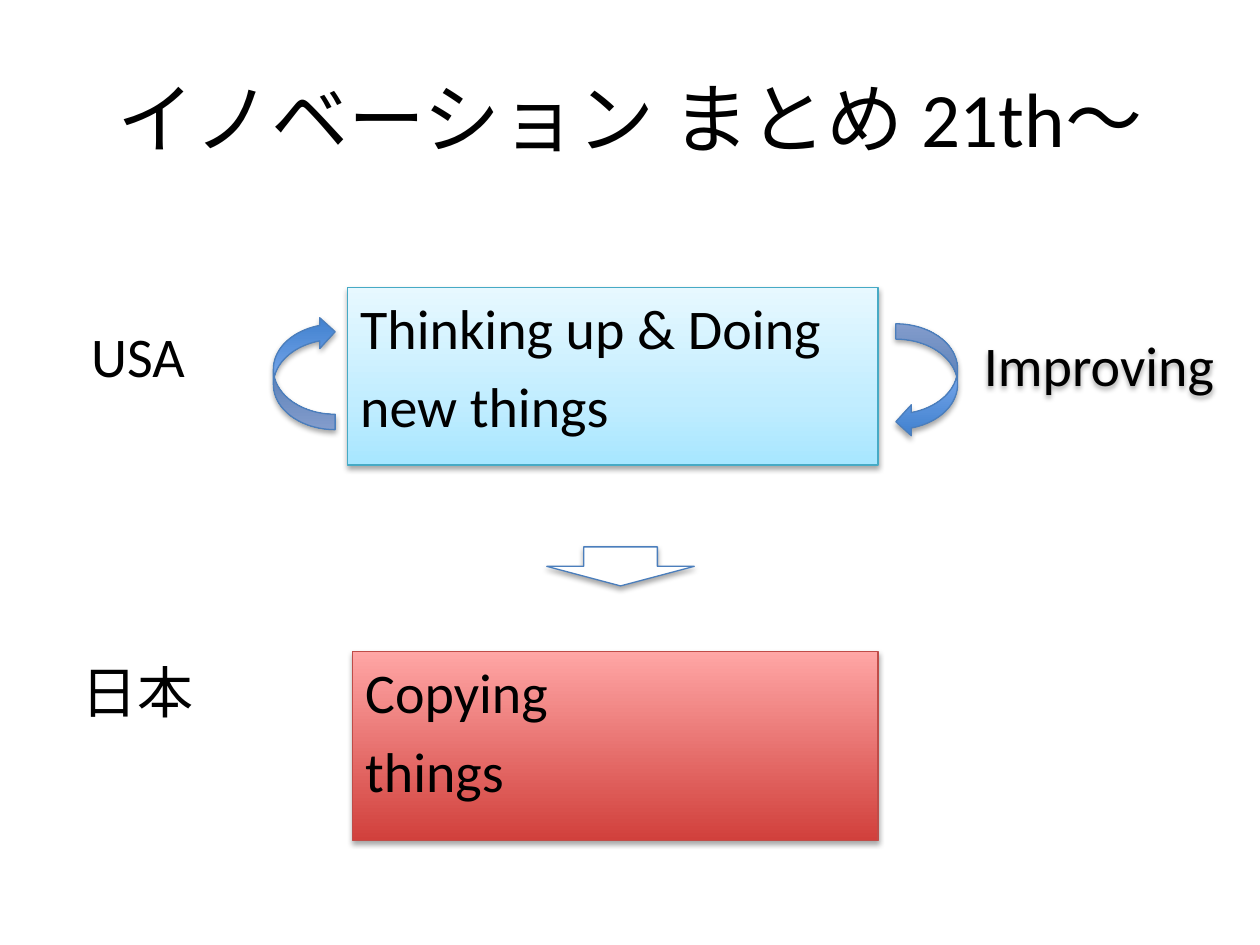
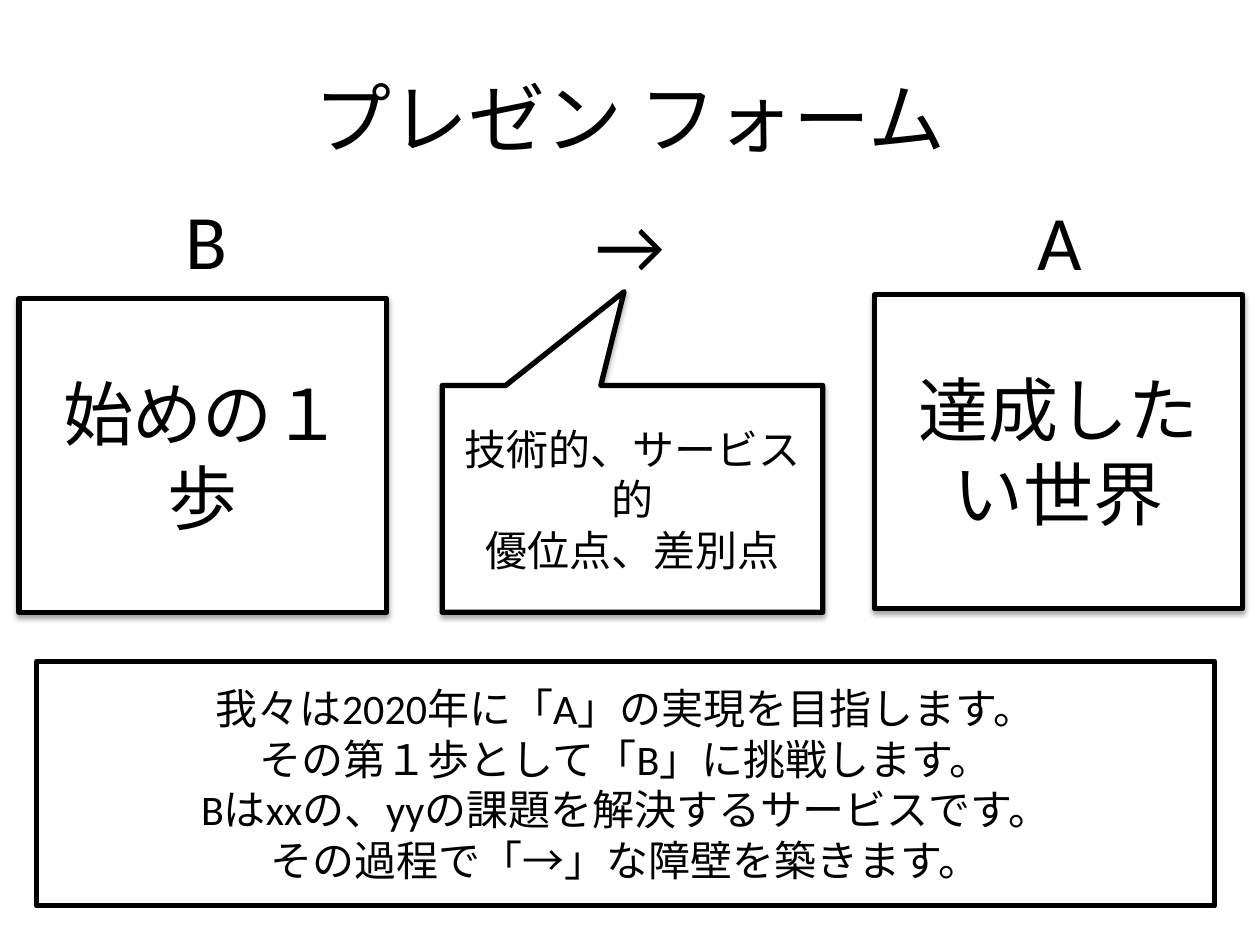
from lxml.etree import SubElement
from pptx import Presentation
from pptx.dml.color import RGBColor
from pptx.enum.lang import MSO_LANGUAGE_ID
from pptx.enum.shapes import MSO_SHAPE
from pptx.enum.text import MSO_ANCHOR, PP_ALIGN
from pptx.oxml.ns import qn
from pptx.util import Inches, Pt

FONT = "Calibri"
BLACK = RGBColor(0x00, 0x00, 0x00)
WHITE = RGBColor(0xFF, 0xFF, 0xFF)
AQUA_LINE = RGBColor(0x46, 0xAA, 0xC5)
RED_LINE = RGBColor(0xBF, 0x4C, 0x48)
BLUE_LINE = RGBColor(0x4B, 0x7E, 0xBC)

# Gradients run from bottom to top: (position in percent, colour)
AQUA = [(0, RGBColor(0xA7, 0xE6, 0xFF)), (35, RGBColor(0xC1, 0xED, 0xFF)),
        (100, RGBColor(0xE7, 0xF8, 0xFF))]
RED = [(0, RGBColor(0xD1, 0x40, 0x3C)), (100, RGBColor(0xFF, 0xA6, 0xA5))]
BLUE = [(0, RGBColor(0x3F, 0x80, 0xCE)), (100, RGBColor(0xA4, 0xC4, 0xFF))]


class Deck:
    """Holds the shared style and the slide being built."""

    def __init__(self):
        self.presentation = Presentation()
        self.presentation.slide_width = Inches(10)
        self.presentation.slide_height = Inches(7.5)
        self.slide = None

    def add_slide(self, title):
        layout = self.presentation.slide_layouts[6]
        self.slide = self.presentation.slides.add_slide(layout)
        self.add_centred(0.5, 0.3, 9, 1.25, title, 44)

    def add_text(self, shape, lines, size, align, anchor, spacing=0.0):
        """Fill a shape with one paragraph per line; spacing is a share of size."""
        frame = shape.text_frame
        frame.word_wrap = True
        frame.vertical_anchor = anchor
        for index, line in enumerate(lines):
            paragraph = frame.add_paragraph() if index else frame.paragraphs[0]
            paragraph.alignment = align
            paragraph.space_before = Pt(size * spacing)
            run = paragraph.add_run()
            run.text = line
            run.font.name = FONT
            run.font.size = Pt(size)
            run.font.color.rgb = BLACK
            run.font.language_id = MSO_LANGUAGE_ID.JAPANESE

    def add_box(self, left, top, width, height):
        return self.slide.shapes.add_textbox(
            Inches(left), Inches(top), Inches(width), Inches(height))

    def add_centred(self, left, top, width, height, text, size):
        box = self.add_box(left, top, width, height)
        self.add_text(box, [text], size, PP_ALIGN.CENTER, MSO_ANCHOR.MIDDLE)

    def add_label(self, left, top, width, height, text, align=PP_ALIGN.CENTER):
        box = self.add_box(left, top, width, height)
        self.add_text(box, [text], 32, align, MSO_ANCHOR.TOP, 0.2)
        return box

    def add_shadow(self, shape):
        shape.shadow.inherit = False
        effects = shape._element.spPr.find(qn("a:effectLst"))
        shadow = SubElement(effects, qn("a:outerShdw"), blurRad="40000",
                            dist="23000", dir="5400000", rotWithShape="0")
        colour = SubElement(shadow, qn("a:srgbClr"), val=str(BLACK))
        SubElement(colour, qn("a:alpha"), val="35000")

    def add_gradient(self, shape, stops):
        shape.fill.gradient()
        shape.fill.gradient_angle = 90
        stop_list = shape._element.spPr.find(qn("a:gradFill")).find(qn("a:gsLst"))
        stop_list.clear()
        for position, colour in stops:
            stop = SubElement(stop_list, qn("a:gs"), pos=str(position * 1000))
            SubElement(stop, qn("a:srgbClr"), val=str(colour))

    def add_shape(self, kind, left, top, width, height, fill=WHITE,
                  line=BLACK, line_width=3, shadow=True):
        shape = self.slide.shapes.add_shape(
            kind, Inches(left), Inches(top), Inches(width), Inches(height))
        if fill is None:
            shape.fill.background()
        elif isinstance(fill, list):
            self.add_gradient(shape, fill)
        else:
            shape.fill.solid()
            shape.fill.fore_color.rgb = fill
        shape.line.color.rgb = line
        shape.line.width = Pt(line_width)
        if shadow:
            self.add_shadow(shape)
        else:
            shape.shadow.inherit = False
        return shape


def build_innovation(deck):
    deck.add_slide("イノベーション まとめ 21th〜")

    # Countries
    for top, country in ((2.5, "USA"), (5.17, "日本")):
        deck.add_label(0, top, 2.19, 1.17, country)

    # What each country does
    activities = (
        (2.76, 2.28, 4.21, 1.41, AQUA, AQUA_LINE, ["Thinking up & Doing", "new things"]),
        (2.8, 5.17, 4.17, 1.5, RED, RED_LINE, ["Copying", "things"]),
    )
    for left, top, width, height, fill, line, lines in activities:
        box = deck.add_shape(MSO_SHAPE.RECTANGLE, left, top, width, height, fill, line, 0.75)
        deck.add_text(box, lines, 32, PP_ALIGN.LEFT, MSO_ANCHOR.TOP, 0.2)

    # Arrow between the countries
    deck.add_shape(MSO_SHAPE.DOWN_ARROW, 4.34, 4.34, 1.17, 0.31, WHITE, BLUE_LINE, 0.75)

    # Improvement cycle
    for left, top, rotation in ((7.11, 2.57, 0), (2.17, 2.51, 180)):
        arrow = deck.add_shape(MSO_SHAPE.CURVED_LEFT_ARROW, left, top, 0.49, 0.9,
                               BLUE, BLUE_LINE, 0.75)
        arrow.rotation = rotation
    improving = deck.add_label(7.71, 2.57, 2.29, 1.41, "Improving", PP_ALIGN.LEFT)
    deck.add_shadow(improving)


def build_form(deck):
    deck.add_slide("プレゼン フォーム")

    # Goal and first step
    for left, top, text in ((6.94, 2.34, "達成したい世界"), (0.15, 2.37, "始めの１歩")):
        deck.add_shape(MSO_SHAPE.RECTANGLE, left, top, 2.92, 2.49)
        deck.add_centred(left, top, 2.92, 2.47, text, 40)

    # Advantage callout
    callout = deck.add_shape(MSO_SHAPE.RECTANGULAR_CALLOUT, 3.51, 3.06, 3.02, 1.8)
    callout.adjustments[0] = -0.022
    callout.adjustments[1] = -0.914
    deck.add_text(callout, ["技術的、サービス的", "優位点、差別点"], 24,
                  PP_ALIGN.CENTER, MSO_ANCHOR.MIDDLE)

    # Headings
    for left, top, heading in ((1.17, 1.48, "B"), (4.53, 1.51, "→"), (7.94, 1.49, "A")):
        deck.add_centred(left, top, 0.94, 0.83, heading, 44)

    # Statement
    statement = deck.add_shape(MSO_SHAPE.RECTANGLE, 0.29, 5.25, 9.35, 1.94,
                               fill=None, shadow=False)
    deck.add_text(statement, [
        "我々は2020年に「A」の実現を目指します。",
        "その第１歩として「B」に挑戦します。",
        "Bはxxの、yyの課題を解決するサービスです。",
        "その過程で「→」な障壁を築きます。",
    ], 24, PP_ALIGN.CENTER, MSO_ANCHOR.MIDDLE)


def main():
    deck = Deck()
    build_innovation(deck)
    build_form(deck)
    deck.presentation.save("out.pptx")


if __name__ == "__main__":
    main()
